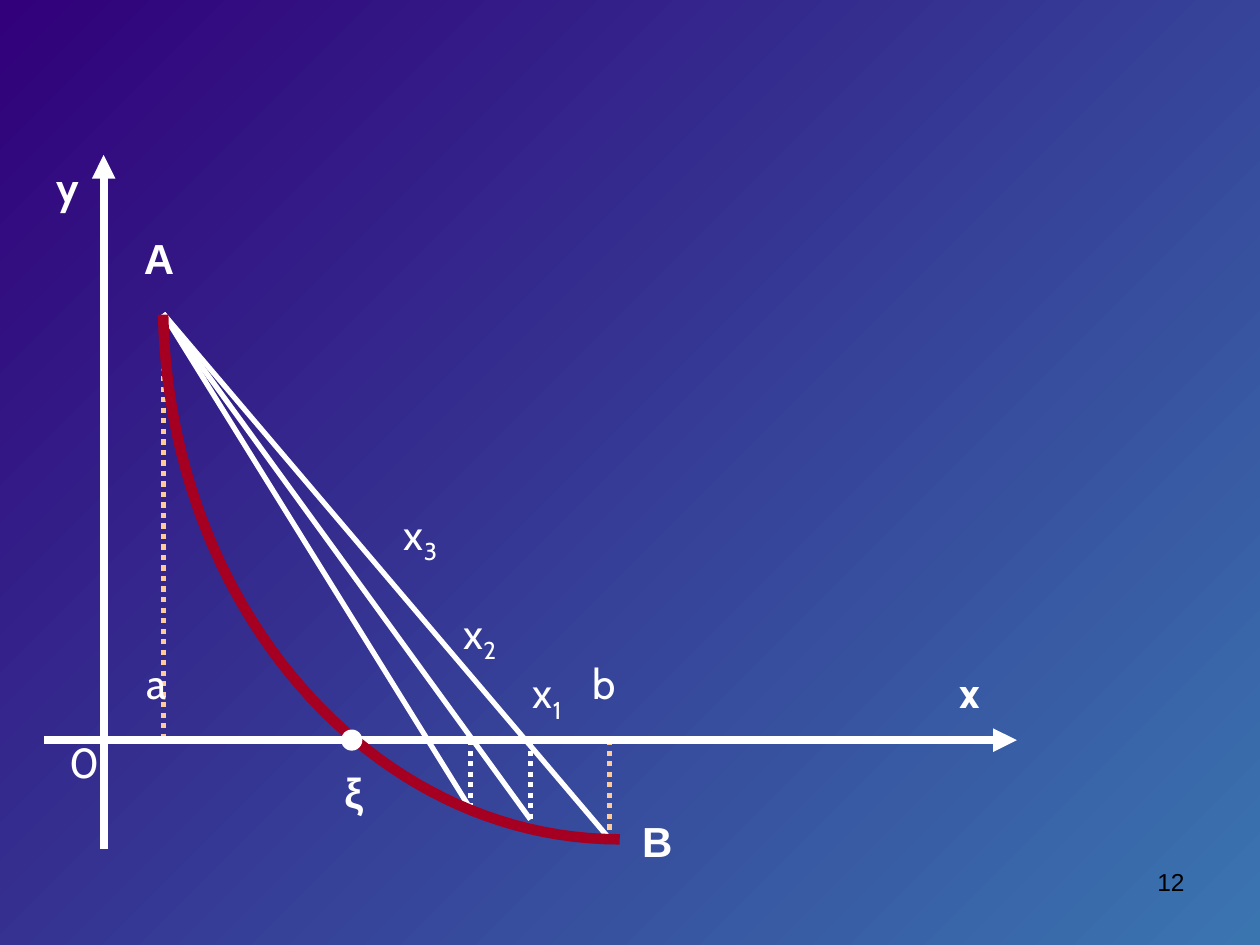
from lxml.etree import SubElement
from pptx import Presentation
from pptx.dml.color import RGBColor
from pptx.enum.shapes import MSO_CONNECTOR as Connector, MSO_SHAPE as Shape
from pptx.enum.text import PP_ALIGN as Align
from pptx.oxml.ns import qn
from pptx.util import Inches, Pt

COLORS = {"white": "FFFFFF", "curve": "A50021", "guide": "FFCC99",
          "number": "000000", "start": "31007A", "end": "3A75B0"}
COLUMNS, ROWS = 98, 70
AXIS_ROW = 59
POINT_A = (12, 16)


def color(name):
    return RGBColor.from_string(COLORS[name])


def paint_background(page):
    fill = page.background.fill
    fill.gradient()
    fill.gradient_angle = 315
    for stop, name, position in zip(fill.gradient_stops, ("start", "end"), (0, 1)):
        stop.color.rgb = color(name)
        stop.position = position


def add_line(page, start, end, name="white", width=3, dash=None, arrow=None):
    line = page.shapes.add_connector(Connector.STRAIGHT, *start, *end)
    line.line.color.rgb = color(name)
    line.line.width = Pt(width)
    outline = line.line._get_or_add_ln()
    if dash:
        SubElement(outline, qn("a:prstDash"), val=dash)
    if arrow:
        SubElement(outline, qn("a:tailEnd"), type=arrow)
    SubElement(line._element.spPr, qn("a:effectLst"))


def add_text(page, place, text, subscript="", font="Cabin", size=24, bold=False,
             name="white", align=Align.LEFT, wrap=True):
    frame = page.shapes.add_textbox(*place).text_frame
    frame.word_wrap = wrap
    para = frame.paragraphs[0]
    para.alignment = align
    for part in filter(None, (text, subscript)):
        span = para.add_run()
        span.text = part
        span.font.name = font
        span.font.size = Pt(size)
        span.font.bold = bold
        span.font.color.rgb = color(name)
        if part == subscript:
            span.font._element.set("baseline", "-25000")


def add_curve(page, point, controls, steps=48):
    def bezier(t):
        weights = ((1 - t) ** 3, 3 * t * (1 - t) ** 2, 3 * t ** 2 * (1 - t), t ** 3)
        return point(*(sum(w * c[axis] for w, c in zip(weights, controls))
                       for axis in (0, 1)))

    points = [bezier(step / steps) for step in range(steps + 1)]
    builder = page.shapes.build_freeform(*points[0])
    builder.add_line_segments(points[1:], close=False)
    curve = builder.convert_to_shape()
    curve.shadow.inherit = False
    curve.fill.background()
    curve.line.color.rgb = color("curve")
    curve.line.width = Pt(6)


def add_plot(page, box):
    left, top, width, height = box

    def point(column, row):
        return (round(left + width * column / COLUMNS),
                round(top + height * row / ROWS))

    def place(column, row, columns, rows):
        return (*point(column, row), round(width * columns / COLUMNS),
                round(height * rows / ROWS))

    for column, row in ((12, 17), (57, 69)):
        add_line(page, point(column, min(row, AXIS_ROW)),
                 point(column, max(row, AXIS_ROW)), "guide", dash="sysDot")
    for column, row in ((57, 69), (49, 67), (43, 66)):
        add_line(page, point(*POINT_A), point(column, row))
    for column, row in ((49, 67), (43, 66)):
        add_line(page, point(column, AXIS_ROW), point(column, row), dash="sysDot")
    for start, end in (((0, AXIS_ROW), (COLUMNS, AXIS_ROW)), ((6, ROWS), (6, 0))):
        add_line(page, point(*start), point(*end), width=4.5, arrow="triangle")

    add_curve(page, point, ((58, 69), (33, 69), (12.6, 45.5), (12, 16.1)))

    root = page.shapes.add_shape(Shape.OVAL, *place(30, AXIS_ROW - 1, 2, 2))
    root.shadow.inherit = False
    root.fill.solid()
    root.fill.fore_color.rgb = color("white")
    root.line.color.rgb = color("white")
    root.line.width = Pt(0.75)

    labels = (
        ("y", "", 0, 0, 8, "Cabin", True),
        ("x", "", 91, 51, 8, "Cabin", True),
        ("0", "", 1.3, 58, 5, "Cabin", False),
        ("a", "", 9.1, 50, 5, "Cabin", False),
        ("b", "", 54, 50, 5, "Cabin", False),
        ("x", "1", 48, 51, 6, "Cabin", False),
        ("x", "2", 41, 45, 8, "Cabin", False),
        ("x", "3", 35, 35, 8, "Cabin", False),
        ("ξ", "", 29, 61, 7, "Arial", True),
        ("A", "", 8.8, 7.2, 5.6, "Arial", True),
        ("B", "", 59, 66, 5.6, "Arial", True),
    )
    for text, subscript, column, row, columns, font, bold in labels:
        add_text(page, place(column, row, columns, 7 if subscript else 6.4), text,
                 subscript, font, bold=bold, wrap=columns >= 7)


def add_page_number(page, box):
    add_text(page, box, "12", font="Arial", size=14, name="number", align=Align.RIGHT)


def main():
    deck = Presentation()
    deck.slide_width, deck.slide_height = Inches(10), Inches(7.5)
    page = deck.slides.add_slide(deck.slide_layouts[6])
    paint_background(page)
    add_plot(page, [Inches(length) for length in (0.35, 1.23, 7.72, 5.51)])
    add_page_number(page, [Inches(length) for length in (7.17, 6.83, 2.33, 0.52)])
    deck.save("out.pptx")


if __name__ == "__main__":
    main()
